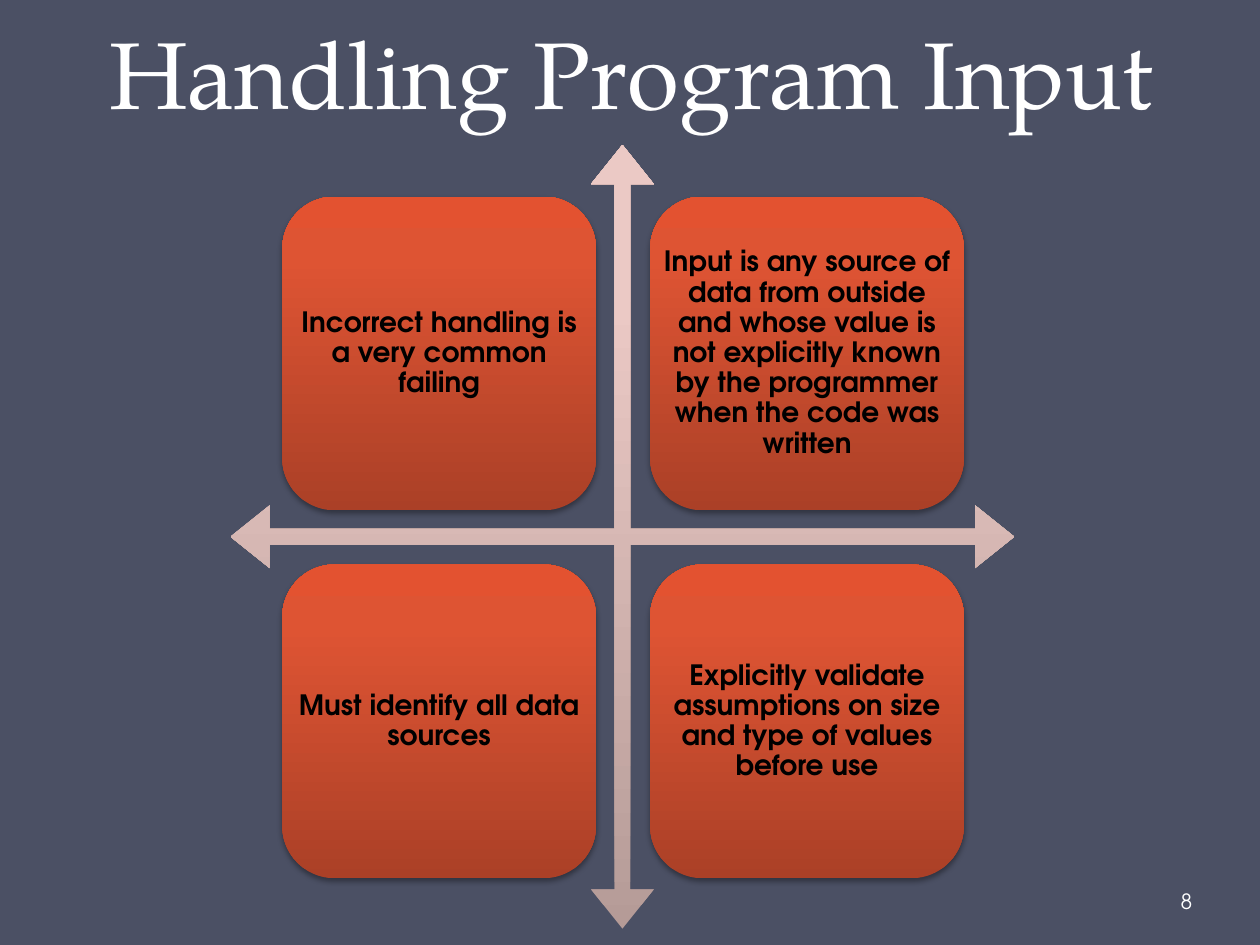
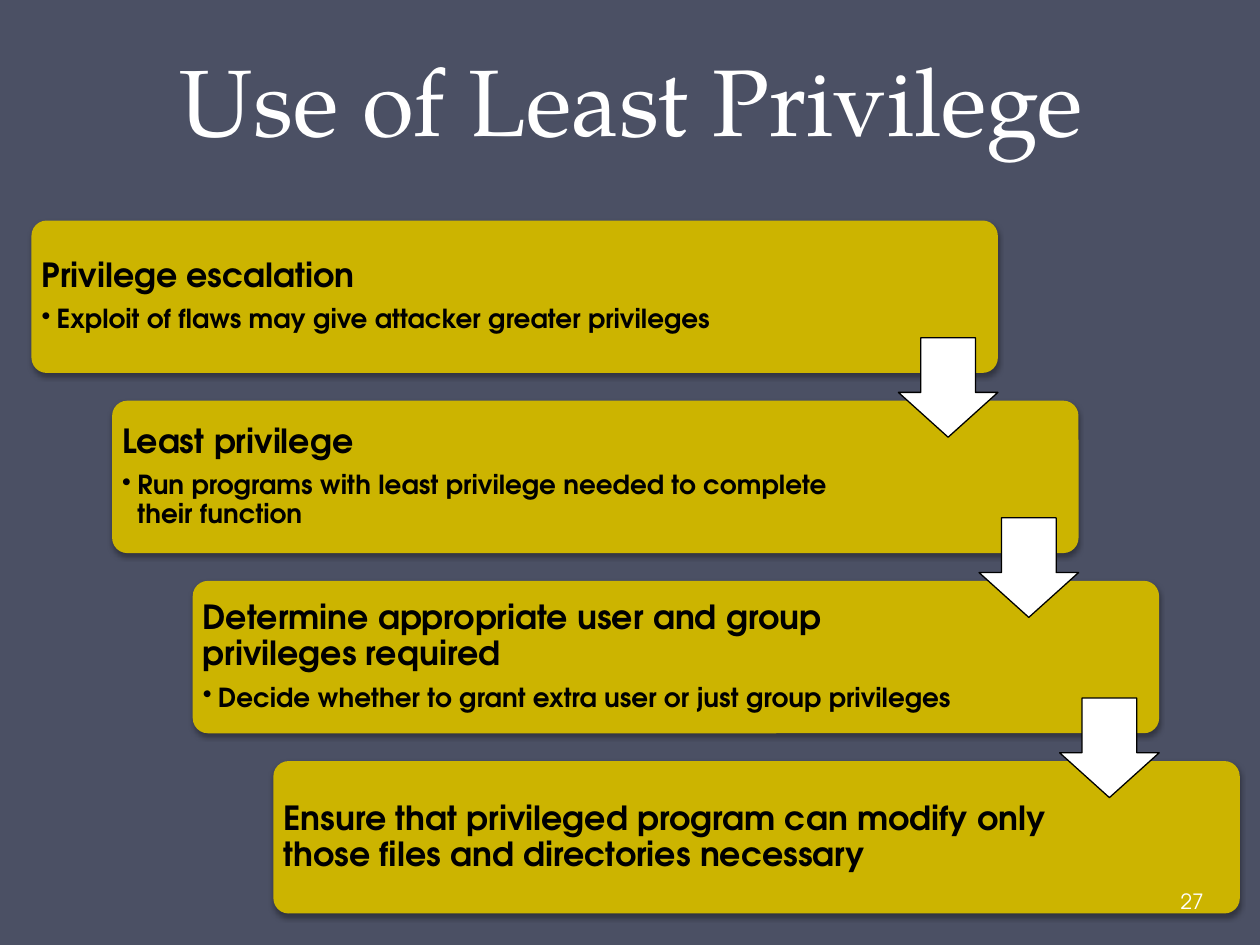
from dataclasses import dataclass

from lxml import etree
from pptx import Presentation
from pptx import util as u
from pptx.dml.color import RGBColor
from pptx.enum import shapes, text
from pptx.oxml.ns import qn


@dataclass(frozen=True)
class Theme:
    background: str = "4B5064"
    light: str = "FFFFFF"
    dark: str = "000000"
    gold: str = "CCB400"
    orange: tuple = ((0, "AB4027"), (80, "DE5433"), (100, "E35230"))
    blush: tuple = ((0, "B59B97"), (80, "EBC9C5"), (100, "EDC9C5"))
    title_font: str = "TeX Gyre Pagella"
    body_font: str = "TeX Gyre Adventor"
    title_size: int = 54
    heading_size: int = 19
    quadrant_size: int = 16
    detail_size: int = 15
    number_size: int = 12


def rgb(color):
    return RGBColor.from_string(color)


def apply(target, values):
    for name, value in values.items():
        setattr(target, name, value)


def child(parent, tag, **attributes):
    element = etree.SubElement(parent, qn(tag))
    for name, value in attributes.items():
        element.set(name, str(value))
    return element


class Deck:
    def __init__(self, theme):
        self.theme = theme
        self.prs = Presentation()
        apply(self.prs, {"slide_width": u.Inches(10), "slide_height": u.Inches(7.5)})
        fill = self.prs.slide_master.background.fill
        fill.solid()
        fill.fore_color.rgb = rgb(theme.background)
        self.s = None

    def new_slide(self, title, top, height):
        self.s = self.prs.slides.add_slide(self.prs.slide_layouts[5])
        sp = self.s.shapes.title
        apply(sp, {
            "left": u.Inches(0.51), "top": u.Inches(top),
            "width": u.Inches(9), "height": u.Inches(height),
        })
        tf = sp.text_frame
        apply(tf, {
            "auto_size": text.MSO_AUTO_SIZE.NONE, "word_wrap": True,
            "vertical_anchor": text.MSO_ANCHOR.BOTTOM,
        })
        p = tf.paragraphs[0]
        apply(p, {"alignment": text.PP_ALIGN.CENTER, "line_spacing": u.Pt(58)})
        self.run(p, title, self.theme.title_size, self.theme.light, False, self.theme.title_font)

    def run(self, p, words, size, color, bold=True, font=None):
        r = p.add_run()
        r.text = words
        apply(r.font, {"size": u.Pt(size), "bold": bold, "name": font or self.theme.body_font})
        r.font.color.rgb = rgb(color)

    def shape(self, kind, box, fill, adjustments=(), outline=None, shadow=False):
        sp = self.s.shapes.add_shape(kind, *map(u.Inches, box))
        for i, value in enumerate(adjustments):
            sp.adjustments[i] = value
        if isinstance(fill, str):
            sp.fill.solid()
            sp.fill.fore_color.rgb = rgb(fill)
        else:
            self.gradient(sp, fill)
        if outline:
            sp.line.color.rgb = rgb(outline)
            sp.line.width = u.Pt(0.75)
        else:
            sp.line.fill.background()
        sp.shadow.inherit = False
        if shadow:
            self.drop_shadow(sp)

    def gradient(self, sp, stops):
        sp.fill.gradient()
        sp.fill.gradient_angle = 90
        stop_list = sp._element.spPr.find(".//" + qn("a:gsLst"))
        for old in list(stop_list):
            stop_list.remove(old)
        for position, color in stops:
            child(child(stop_list, "a:gs", pos=position * 1000), "a:srgbClr", val=color)

    def drop_shadow(self, sp):
        effects = sp._element.spPr.find(qn("a:effectLst"))
        outer = child(effects, "a:outerShdw", blurRad=int(u.Pt(3.1)), dist=int(u.Pt(1.8)),
                      dir=90 * 60000, rotWithShape=0)
        child(child(outer, "a:srgbClr", val=self.theme.dark), "a:alpha", val=35000)

    def text_box(self, box, insets):
        sp = self.s.shapes.add_textbox(*map(u.Inches, box))
        tf = sp.text_frame
        sides = ("margin_left", "margin_top", "margin_right", "margin_bottom")
        apply(tf, {
            "word_wrap": True, "vertical_anchor": text.MSO_ANCHOR.MIDDLE,
            **dict(zip(sides, map(u.Inches, insets))),
        })
        return tf

    def paragraph(self, p, words, size, after=35, align=text.PP_ALIGN.LEFT, bullet=False):
        apply(p, {
            "alignment": align, "line_spacing": 0.9,
            "space_after": u.Pt(0), "level": int(bullet),
        })
        pPr = p._p.get_or_add_pPr()
        spacing = pPr.find(qn("a:spcAft"))
        spacing.remove(spacing[0])
        child(spacing, "a:spcPct", val=after * 1000)
        if bullet:
            indent = int(u.Inches(0.12))
            pPr.set("marL", str(indent))
            pPr.set("indent", str(-indent))
            child(pPr, "a:buChar", char="•")
        self.run(p, words, size, self.theme.dark)

    def quadrant(self, box, words):
        self.shape(shapes.MSO_SHAPE.ROUNDED_RECTANGLE, box, self.theme.orange, shadow=True)
        tf = self.text_box(box, [0.07] * 4)
        self.paragraph(tf.paragraphs[0], words, self.theme.quadrant_size,
                       align=text.PP_ALIGN.CENTER)

    def step(self, box, text_width, heading, detail):
        self.shape(shapes.MSO_SHAPE.ROUNDED_RECTANGLE, box, self.theme.gold, [0.1], shadow=True)
        left, top, _, height = box
        tf = self.text_box((left, top, text_width, height), [0.08] * 4)
        self.paragraph(tf.paragraphs[0], heading, self.theme.heading_size)
        if detail:
            self.paragraph(tf.add_paragraph(), detail, self.theme.detail_size, 15, bullet=True)

    def slide_number(self, number):
        tf = self.text_box((9.34, 6.95, 0.61, 0.4), (0.03, 0.05, 0.05, 0.05))
        self.run(tf.paragraphs[0], str(number), self.theme.number_size, self.theme.light, False)


def input_slide(deck):
    deck.new_slide("Handling Program Input", -0.58, 1.65)
    deck.shape(shapes.MSO_SHAPE.QUAD_ARROW, (1.83, 1.15, 6.22, 6.22),
               deck.theme.blush, (0.02, 0.04, 0.05))
    quadrants = (
        "Incorrect handling is a very common failing",
        "Input is any source of data from outside and whose value is not explicitly "
        "known by the programmer when the code was written",
        "Must identify all data sources",
        "Explicitly validate assumptions on size and type of values before use",
    )
    side, pitch = 2.49, 2.92
    for i, words in enumerate(quadrants):
        row, column = divmod(i, 2)
        deck.quadrant((2.24 + column * pitch, 1.56 + row * pitch, side, side), words)
    deck.slide_number(8)


def privilege_slide(deck):
    deck.new_slide("Use of Least Privilege", -0.11, 1.39)
    steps = (
        ("Privilege escalation", "Exploit of flaws may give attacker greater privileges"),
        ("Least privilege",
         "Run programs with least privilege needed to complete their function"),
        ("Determine appropriate user and group privileges required",
         "Decide whether to grant extra user or just group privileges"),
        ("Ensure that privileged program can modify only those files and directories necessary",
         None),
    )
    width, height, arrow = 7.67, 1.21, 0.79
    corners = [(0.25 + 0.64 * i, 1.75 + 1.43 * i) for i in range(len(steps))]
    for (left, top), (heading, detail) in zip(corners, steps):
        deck.step((left, top, width, height), 6.24, heading, detail)
    for left, top in corners[:-1]:
        deck.shape(shapes.MSO_SHAPE.DOWN_ARROW,
                   (left + width - arrow, top + 0.93, arrow, arrow),
                   deck.theme.light, (0.55, 0.45), deck.theme.dark)
    deck.slide_number(27)


def main():
    deck = Deck(Theme())
    input_slide(deck)
    privilege_slide(deck)
    deck.prs.save("out.pptx")


if __name__ == "__main__":
    main()
